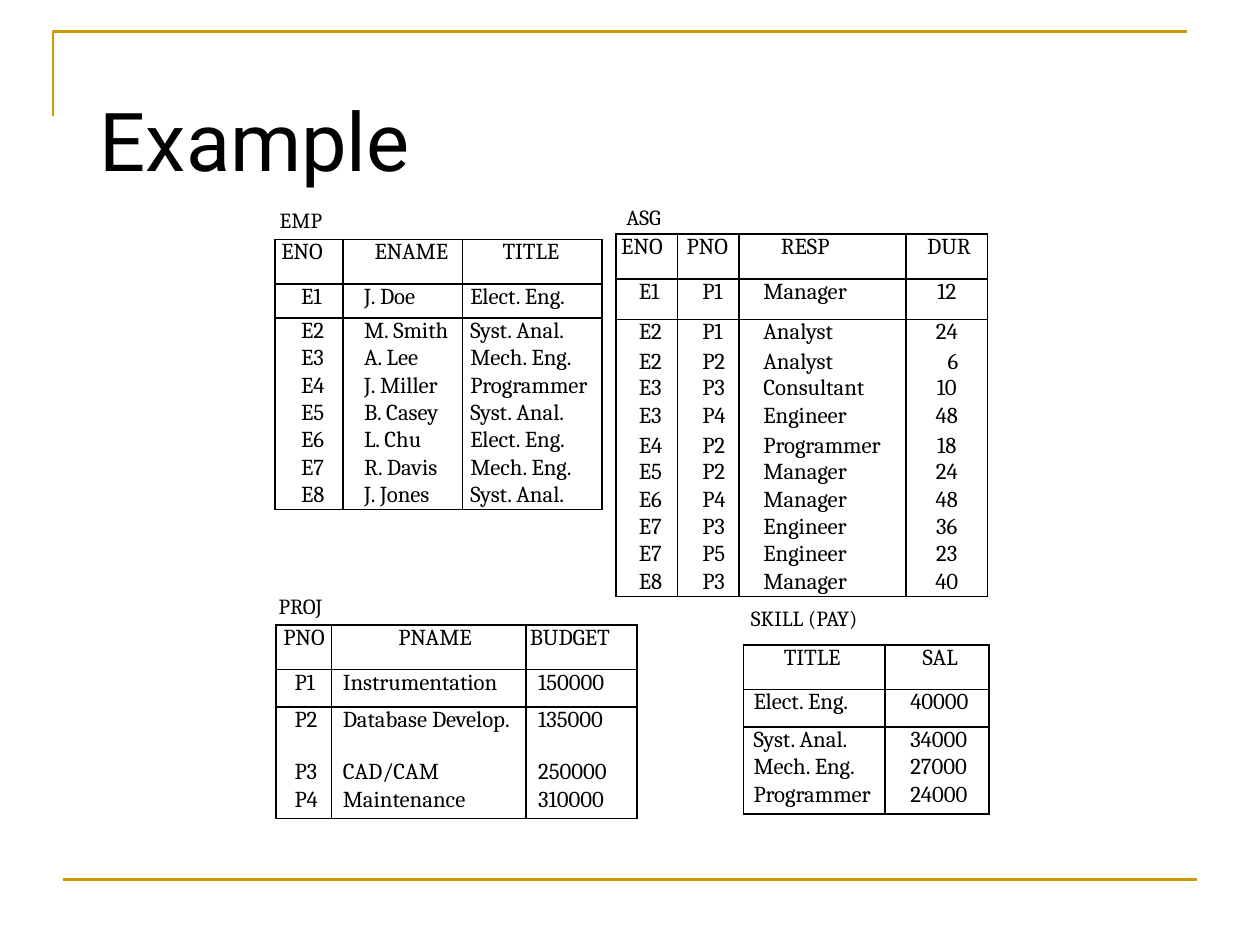
from dataclasses import dataclass, field

from lxml import etree
from pptx import Presentation
from pptx.dml import color
from pptx.enum import shapes, text
from pptx.oxml import ns
from pptx.util import Cm, Pt


@dataclass(frozen=True)
class Theme:
    ink: str = "000000"
    gold: str = "CC9900"
    head: str = "Roboto"
    body: str = "Cambria"
    big: float = 46.4
    label: float = 12.3
    cell: float = 13
    rule: float = 1.5
    grid: float = 0.96
    plain: str = "{2D5ABB26-0587-4C30-8999-92F81FD0307C}"  # no style, no grid


@dataclass
class Table:
    name: str
    spot: tuple    # left and top of the grid
    shift: tuple   # label offset from the grid
    wide: float    # label width
    cols: list
    rows: list
    head: list     # header indents
    body: list     # body indents, None for centred
    data: str
    lead: dict = field(default_factory=dict)  # row: fixed line spacing
    nudge: dict = field(default_factory=dict)  # (row, column): indent


T = Theme()
SIDES = ("left", "top", "right", "bottom")

TABLES = [
    Table("SKILL (PAY)", (14.99, 13), (0.12, -0.81), 3.2,
          [2.85, 2.1], [0.9, 0.76, 0.53, 0.53, 0.65],
          [0.81, 0.76], [0.2, 0.51],
          """TITLE|SAL
Elect. Eng.|40000
Syst. Anal.|34000
Mech. Eng.|27000
Programmer|24000"""),
    Table("PROJ", (5.56, 12.6), (0.03, -0.64), 1.24,
          [1.12, 3.92, 2.24], [0.9, 0.75, 1.06, 0.53, 0.64],
          [0.15, 1.35, 0.08], [0.38, 0.23, 0.25],
          """PNO|PNAME|BUDGET
P1|Instrumentation|150000
P2|Database Develop.|135000
P3|CAD/CAM|250000
P4|Maintenance|310000"""),
    Table("EMP", (5.54, 4.83), (0.07, -0.66), 1.07,
          [1.37, 2.41, 2.82], [0.9, 0.68] + [0.54] * 7,
          [0.13, 0.64, 0.81], [0.53, 0.43, 0.16],
          """ENO|ENAME|TITLE
E1|J. Doe|Elect. Eng.
E2|M. Smith|Syst. Anal.
E3|A. Lee|Mech. Eng.
E4|J. Miller|Programmer
E5|B. Casey|Syst. Anal.
E6|L. Chu|Elect. Eng.
E7|R. Davis|Mech. Eng.
E8|J. Jones|Syst. Anal."""),
    Table("ASG", (12.42, 4.72), (0.18, -0.61), 0.99,
          [1.24, 1.24, 3.36, 1.65], [0.9, 0.82] + [0.53] * 10,
          [0.1, 0.18, 0.84, 0.43], [0.46, 0.5, 0.49, None],
          """ENO|PNO|RESP|DUR
E1|P1|Manager|12
E2|P1|Analyst|24
E2|P2|Analyst|6
E3|P3|Consultant|10
E3|P4|Engineer|48
E4|P2|Programmer|18
E5|P2|Manager|24
E6|P4|Manager|48
E7|P3|Engineer|36
E7|P5|Engineer|23
E8|P3|Manager|40""",
          lead={3: 16.4, 6: 16.6}, nudge={(3, 3): 0.25}),
]


def assign(item, vals):
    for key, val in vals.items():
        setattr(item, key, val)


def write(para, words, size, font, dent=0):
    run = para.add_run()
    run.text = words
    assign(run.font, {"size": Pt(size), "name": font})
    run.font.color.rgb = color.RGBColor.from_string(T.ink)
    para._p.get_or_add_pPr().set("marL", str(Cm(dent)))


def textbox(slide, box, words, size, font, dent, top=0, anchor=text.MSO_ANCHOR.TOP):
    frame = slide.shapes.add_textbox(*map(Cm, box)).text_frame
    assign(frame, {f"margin_{side}": 0 for side in SIDES})
    assign(frame, {"word_wrap": True, "margin_top": Cm(top),
                   "vertical_anchor": anchor})
    write(frame.paragraphs[0], words, size, font, dent)


def stroke(line):
    line.color.rgb = color.RGBColor.from_string(T.gold)
    line.width = Pt(T.rule)


def border(cell, sides):
    props = cell._tc.get_or_add_tcPr()
    for spot, side in enumerate("LRTB"):  # schema order, ahead of the fill
        line = etree.Element(ns.qn(f"a:ln{side}"), w=str(Pt(T.grid)))
        if side in sides:
            fill = etree.SubElement(line, ns.qn("a:solidFill"))
            etree.SubElement(fill, ns.qn("a:srgbClr"), val=T.ink)
        else:
            etree.SubElement(line, ns.qn("a:noFill"))
        props.insert(spot, line)


def frame(slide, box):
    """Gold corner at the top and gold rule at the foot."""
    left, top, width, height = box
    pen = slide.shapes.build_freeform(Cm(left), Cm(top + 1.7))
    pen.add_line_segments([(Cm(left), Cm(top)), (Cm(left + width), Cm(top))],
                          close=False)
    edge = pen.convert_to_shape()
    edge.shadow.inherit = False
    edge.fill.background()
    stroke(edge.line)

    start, foot = left + 0.2, top + height
    rule = slide.shapes.add_connector(
        shapes.MSO_CONNECTOR.STRAIGHT,
        Cm(start), Cm(foot), Cm(start + width), Cm(foot))
    etree.SubElement(rule._element.spPr, ns.qn("a:effectLst"))
    stroke(rule.line)


def relation(slide, spec_):
    """One named relation: its label and its grid."""
    left, top = spec_.spot
    textbox(slide, (left + spec_.shift[0], top + spec_.shift[1], spec_.wide, 0.56),
            spec_.name, T.label, T.body, 0.03)
    data = [line.split("|") for line in spec_.data.splitlines()]
    size = map(Cm, (left, top, sum(spec_.cols), sum(spec_.rows)))
    grid = slide.shapes.add_table(len(data), len(spec_.cols), *size).table
    assign(grid, {"first_row": False, "horz_banding": False})
    grid._tbl.tblPr.find(ns.qn("a:tableStyleId")).text = T.plain
    for col, width in zip(grid.columns, spec_.cols):
        col.width = Cm(width)
    for row, high in zip(grid.rows, spec_.rows):
        row.height = Cm(high)

    last = len(data) - 1
    for r, line in enumerate(data):
        # Header and first record are boxed; the rest share one box
        sides = "LR" + "T" * (r <= 2) + "B" * (r < 2 or r == last)
        for c, words in enumerate(line):
            cell = grid.cell(r, c)
            assign(cell, {f"margin_{side}": 0 for side in SIDES})
            cell.fill.background()
            border(cell, sides)
            dent = (spec_.body if r else spec_.head)[c]
            para = cell.text_frame.paragraphs[0]
            if dent is None:
                para.alignment = text.PP_ALIGN.CENTER
            write(para, words, T.cell, T.body, spec_.nudge.get((r, c), dent or 0))
            if r in spec_.lead:
                para.line_spacing = Pt(spec_.lead[r])


def main():
    deck = Presentation()
    assign(deck, {"slide_width": Cm(25.4), "slide_height": Cm(19.05)})
    slide = deck.slides.add_slide(deck.slide_layouts[6])
    frame(slide, (1.07, 0.63, 22.86, 17.1))
    textbox(slide, (1.27, 0.76, 22.86, 3.18), "Example", T.big, T.head, 0.74,
            top=0.89, anchor=text.MSO_ANCHOR.MIDDLE)
    for table in TABLES:
        relation(slide, table)
    deck.save("out.pptx")


if __name__ == "__main__":
    main()
